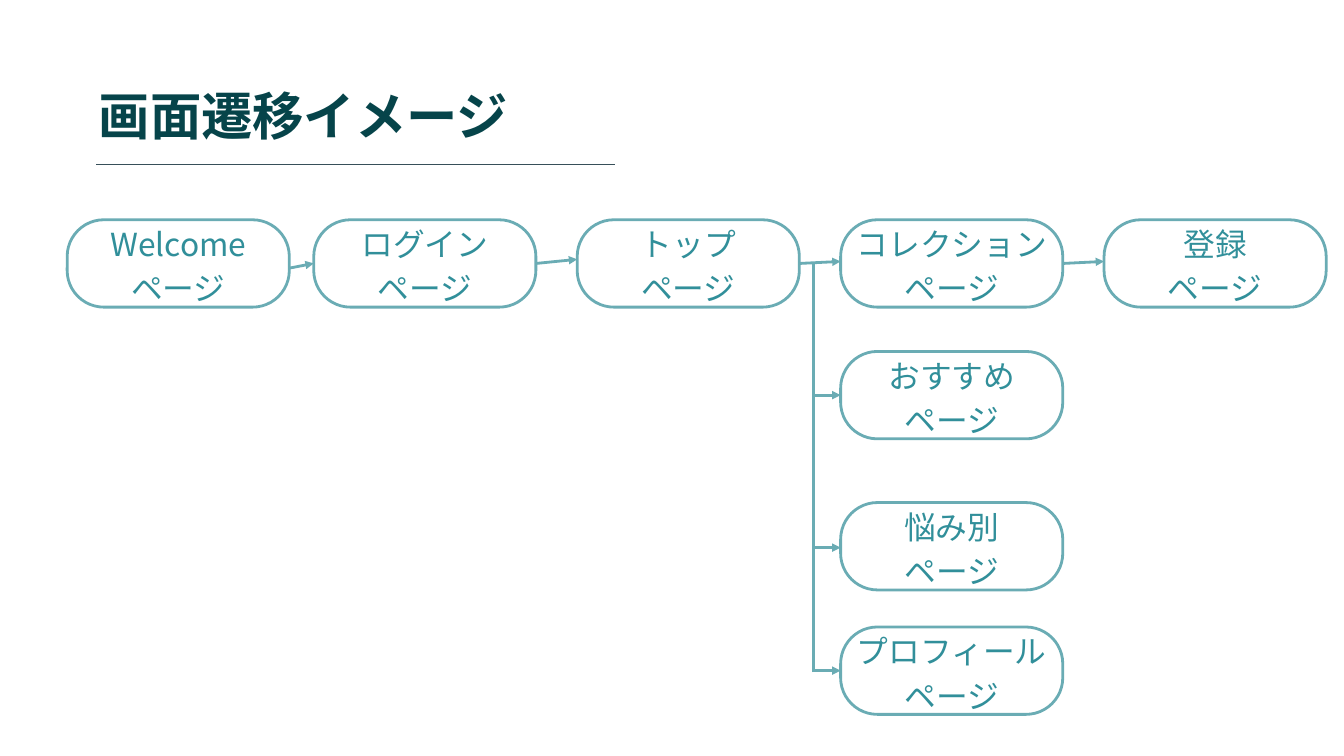
from dataclasses import dataclass

from lxml import etree
from pptx import Presentation
from pptx.dml.color import RGBColor
from pptx.enum.shapes import MSO_CONNECTOR, MSO_SHAPE
from pptx.enum.text import MSO_AUTO_SIZE, PP_ALIGN
from pptx.oxml.ns import qn
from pptx.util import Pt

STRAIGHT = MSO_CONNECTOR.STRAIGHT
ROUNDED = MSO_SHAPE.ROUNDED_RECTANGLE
FIT_TEXT = MSO_AUTO_SIZE.SHAPE_TO_FIT_TEXT
CENTER, JUSTIFY = PP_ALIGN.CENTER, PP_ALIGN.JUSTIFY


@dataclass(frozen=True)
class Theme:
    title_color: RGBColor = RGBColor.from_string("06444A")
    label_color: RGBColor = RGBColor.from_string("318F9A")
    border: RGBColor = RGBColor.from_string("6AACB4")
    rule: RGBColor = RGBColor.from_string("374F59")
    white: RGBColor = RGBColor.from_string("FFFFFF")
    title_font: str = "Roboto"
    label_font: str = "Noto Sans CJK JP"
    title_size: float = 55
    label_size: float = 34
    line_factor: float = 1.4
    border_width: float = 3
    rule_width: float = 1.5


class FlowSlide:
    """Draws the titles, page boxes and arrows of a screen flow on one slide."""

    def __init__(self, slide, theme):
        self.slide = slide
        self.theme = theme

    def text(self, shapes, lines, left, top, width, height, font, size, color, align, bold=False):
        box = shapes.add_textbox(Pt(left), Pt(top), Pt(width), Pt(height))
        frame = box.text_frame
        frame.word_wrap = True
        frame.auto_size = FIT_TEXT
        frame.margin_left = frame.margin_right = frame.margin_top = frame.margin_bottom = 0
        frame.text = "\n".join(lines)
        for paragraph in frame.paragraphs:
            paragraph.alignment = align
            paragraph.line_spacing = Pt(size * self.theme.line_factor)
            paragraph.font.name = font
            paragraph.font.size = Pt(size)
            paragraph.font.bold = bold
            paragraph.font.color.rgb = color
            defaults = paragraph._p.pPr.find(qn("a:defRPr"))
            etree.SubElement(defaults, qn("a:ea"), typeface=font)

    def title(self, text, left, top, width, height):
        theme = self.theme
        self.text(self.slide.shapes, [text], left, top, width, height,
                  theme.title_font, theme.title_size, theme.title_color, JUSTIFY, bold=True)

    def page(self, name, left, top):
        theme = self.theme
        group = self.slide.shapes.add_group_shape()
        shape = group.shapes.add_shape(ROUNDED, Pt(left), Pt(top), Pt(PAGE_WIDTH), Pt(PAGE_HEIGHT))
        shape.adjustments[0] = 0.42
        shape.shadow.inherit = False
        shape.fill.solid()
        shape.fill.fore_color.rgb = theme.white
        shape.line.color.rgb = theme.border
        shape.line.width = Pt(theme.border_width)
        self.text(group.shapes, [name, "ページ"], left + 15.8, top - 1.4, PAGE_WIDTH - 31.6, 92.2,
                  theme.label_font, theme.label_size, theme.label_color, CENTER)

    def line(self, start_x, start_y, end_x, end_y, color, width, arrow=False):
        connector = self.slide.shapes.add_connector(
            STRAIGHT, Pt(start_x), Pt(start_y), Pt(end_x), Pt(end_y))
        connector.line.color.rgb = color
        connector.line.width = Pt(width)
        if arrow:
            etree.SubElement(connector.line._get_or_add_ln(), qn("a:tailEnd"), type="triangle")
        etree.SubElement(connector._element.spPr, qn("a:effectLst"))

    def flow(self, start_x, start_y, end_x, end_y, arrow=True):
        self.line(start_x, start_y, end_x, end_y, self.theme.border, self.theme.border_width, arrow)


PAGE_WIDTH, PAGE_HEIGHT = 238, 93.6
COLUMNS = [72] + [336.2 + 282.25 * step for step in range(4)]
ROW_TOP = 235.5
MIDDLE = ROW_TOP + PAGE_HEIGHT / 2
MAIN_PAGES = ["Welcome", "ログイン", "トップ", "コレクション", "登録"]
BRANCH_PAGES = [("おすすめ", 376.6), ("悩み別", 538.5), ("プロフィール", 671.8)]
BRANCH_ARROWS = [423.4, 586.8, 718.6]
ARROW_ENDS = [(287.3, 282.2), (MIDDLE, 277.9), (MIDDLE, 280.1), (MIDDLE, 280.1)]
TRUNK_X = 872


def main():
    theme = Theme()
    presentation = Presentation()
    presentation.slide_width, presentation.slide_height = Pt(1440), Pt(810)
    slide = presentation.slides.add_slide(presentation.slide_layouts[6])
    flow_slide = FlowSlide(slide, theme)

    flow_slide.line(103, 176.4, 658.8, 176.4, theme.rule, theme.rule_width)
    flow_slide.title("画面遷移イメージ", 105.8, 79.2, 879, 75.6)

    for name, left in zip(MAIN_PAGES, COLUMNS):
        flow_slide.page(name, left, ROW_TOP)
    for name, top in BRANCH_PAGES:
        flow_slide.page(name, COLUMNS[3], top)

    for left, following, (start_y, end_y) in zip(COLUMNS, COLUMNS[1:], ARROW_ENDS):
        flow_slide.flow(left + PAGE_WIDTH, start_y, following, end_y)
    flow_slide.flow(TRUNK_X, 720, TRUNK_X, MIDDLE, arrow=False)
    for height in BRANCH_ARROWS:
        flow_slide.flow(TRUNK_X, height, COLUMNS[3], height)

    presentation.save("out.pptx")


if __name__ == "__main__":
    main()
